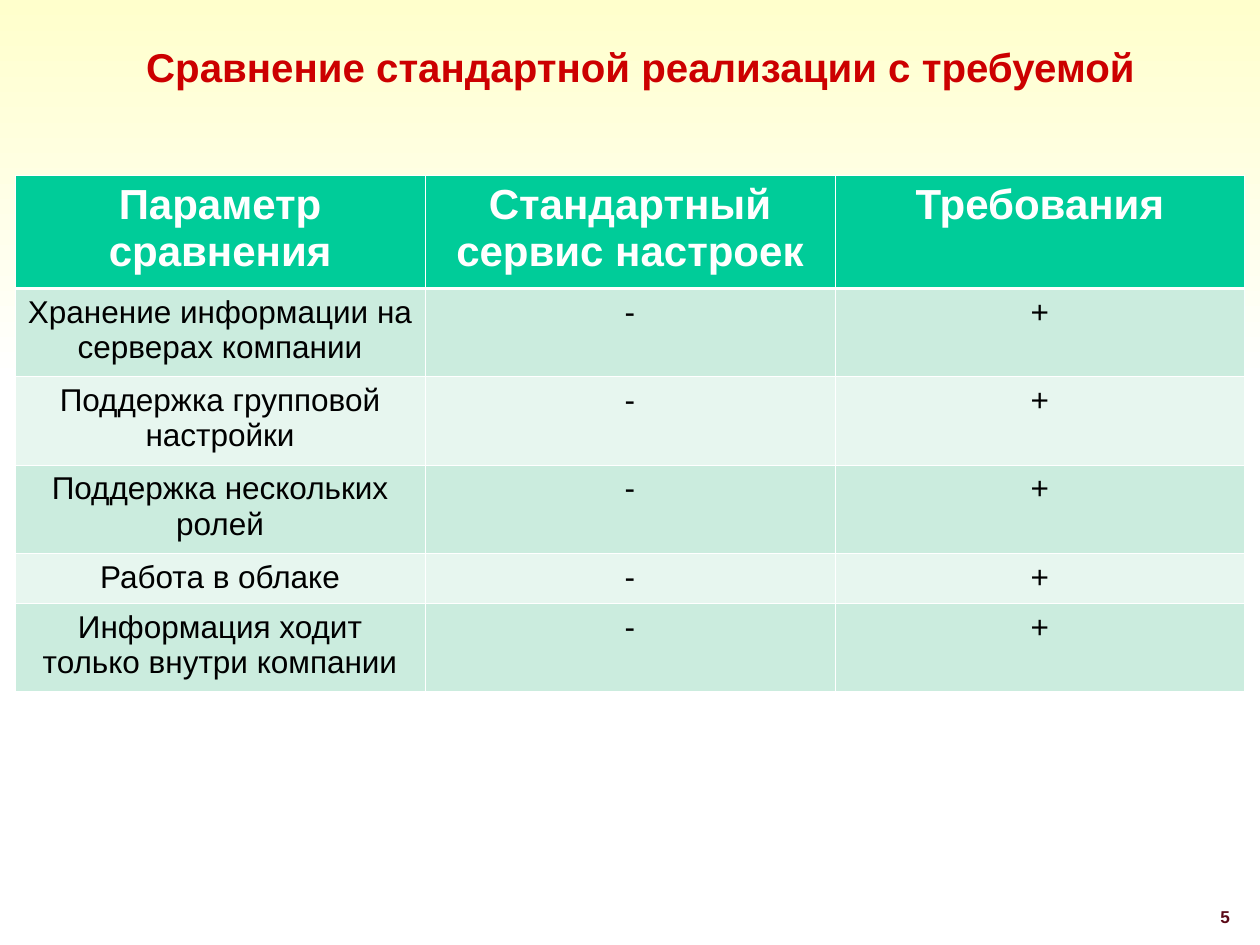
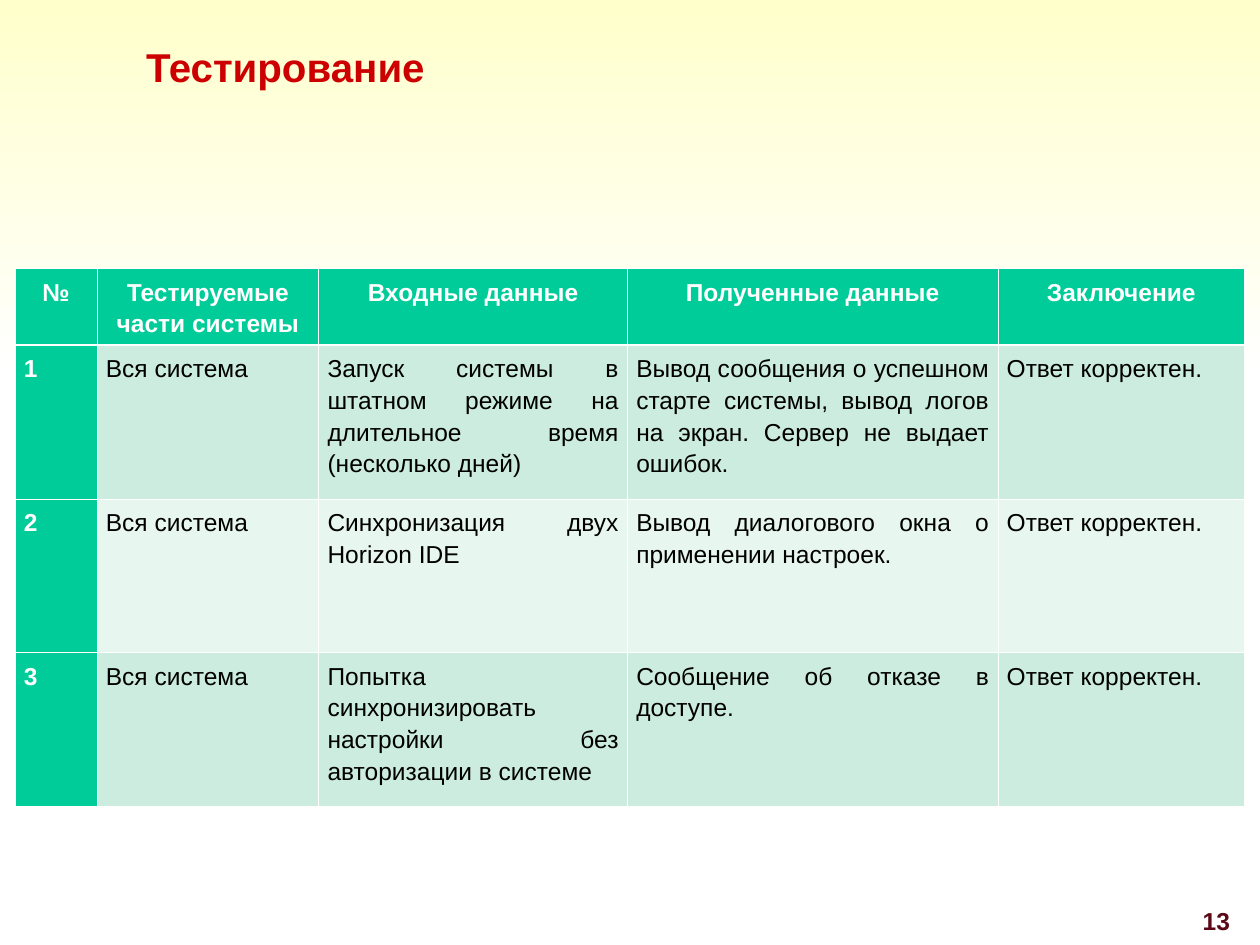
from dataclasses import dataclass

from lxml.etree import SubElement, Element
from pptx import Presentation
from pptx.dml.color import RGBColor
from pptx.enum.shapes import MSO_SHAPE
from pptx.enum.text import MSO_ANCHOR, MSO_AUTO_SIZE, PP_ALIGN as AL
from pptx.oxml.ns import qn
from pptx.util import Inches, Pt

FONT = "Arial"
CREAM, WHITE, BLACK = "FFFFCC", "FFFFFF", "000000"
RED, MAROON = "CC0000", "5B0917"
GREEN, MINT, PALE = "00CC99", "CBECDE", "E7F6EF"
THIN, THICK = 0.45, 1.47


@dataclass
class TableSpec:
    top: float
    cols: list[float]
    heights: list[float]
    rows: list[list[str]]
    aligns: list[AL]
    head_size: float
    body_size: float
    side_inset: float
    spacing: float = 1.0
    after: float = 0
    head_col: bool = False


@dataclass
class SlideSpec:
    title: str
    number: str
    number_size: float
    table: TableSpec


SLIDES = [
    SlideSpec(
        "Сравнение стандартной реализации с требуемой", "5", 9.8,
        TableSpec(
            top=1.39, cols=[9.76 / 3] * 3, heights=[0.9, 0.7, 0.7, 0.7, 0.4, 0.7],
            rows=[["Параметр сравнения", "Стандартный сервис настроек", "Требования"]]
            + [[name, "-", "+"] for name in (
                "Хранение информации на серверах компании",
                "Поддержка групповой настройки",
                "Поддержка нескольких ролей",
                "Работа в облаке",
                "Информация ходит только внутри компании",
            )],
            aligns=[AL.CENTER] * 3, head_size=24, body_size=18, side_inset=0.1,
        ),
    ),
    SlideSpec(
        "Тестирование", "13", 14,
        TableSpec(
            top=2.13, cols=[0.65, 1.76, 2.45, 2.94, 1.96], heights=[0.61] + [1.22] * 3,
            rows=[["№", "Тестируемые части системы", "Входные данные",
                   "Полученные данные", "Заключение"]]
            + [[str(i), "Вся система", given, result, "Ответ корректен."]
               for i, (given, result) in enumerate([
                   ("Запуск системы в штатном режиме на длительное время (несколько дней)",
                    "Вывод сообщения о успешном старте системы, вывод логов на экран. "
                    "Сервер не выдает ошибок."),
                   ("Синхронизация двух Horizon IDE",
                    "Вывод диалогового окна о применении настроек."),
                   ("Попытка синхронизировать настройки без авторизации в системе",
                    "Сообщение об отказе в доступе."),
               ], 1)],
            aligns=[AL.LEFT] * 2 + [AL.JUSTIFY] * 3, head_size=14, body_size=14,
            side_inset=0.07, spacing=1.15, after=10, head_col=True,
        ),
    ),
]


def rgb(value: str) -> RGBColor:
    return RGBColor.from_string(value)


def write(tf, text: str, size: float, color: str, bold: bool, align: AL,
          spacing: float = 1.0, after: float = 0) -> None:
    p = tf.paragraphs[0]
    p.alignment, p.line_spacing = align, spacing
    p.space_before, p.space_after = Pt(0), Pt(after)
    r = p.add_run()
    r.text = text
    r.font.name, r.font.size, r.font.bold = FONT, Pt(size), bold
    r.font.color.rgb = rgb(color)


def add_band(s) -> None:
    sp = s.shapes.add_shape(MSO_SHAPE.RECTANGLE, 0, 0, Inches(10), Inches(3.04))
    sp.shadow.inherit = False
    sp.line.fill.background()
    sp.fill.gradient()
    sp.fill.gradient_angle = 270
    for stop, color, pos in zip(sp.fill.gradient_stops, (CREAM, WHITE), (0, 1)):
        stop.color.rgb, stop.position = rgb(color), pos
    s.shapes._spTree.insert(2, sp._element)


def add_title(s, text: str) -> None:
    sp = s.shapes.title
    sp.left, sp.top = Inches(1.06), Inches(-0.03)
    sp.width, sp.height = Inches(8.94), Inches(1.18)
    tf = sp.text_frame
    tf.word_wrap, tf.auto_size = True, MSO_AUTO_SIZE.NONE
    tf.vertical_anchor = MSO_ANCHOR.MIDDLE
    write(tf, text, 23, RED, True, AL.LEFT, 0.8)


def add_number(s, text: str, size: float) -> None:
    sp = s.shapes.add_textbox(Inches(9.02), Inches(7.14), Inches(0.84), Inches(0.28))
    sp.text_frame.word_wrap = True
    write(sp.text_frame, text, size, MAROON, True, AL.RIGHT)


def set_borders(cell, top: float, bottom: float) -> None:
    tc_pr = cell._tc.get_or_add_tcPr()
    sides = (("lnL", THIN), ("lnR", THIN), ("lnT", top), ("lnB", bottom))
    for i, (tag, width) in enumerate(sides):
        ln = Element(qn(f"a:{tag}"), w=str(Pt(width)))
        fill = SubElement(ln, qn("a:solidFill"))
        SubElement(fill, qn("a:srgbClr"), val=WHITE)
        tc_pr.insert(i, ln)


def add_table(s, spec: TableSpec) -> None:
    frame = s.shapes.add_table(len(spec.rows), len(spec.cols), Inches(0.12), Inches(spec.top),
                               Inches(sum(spec.cols)), Inches(sum(spec.heights)))
    table = frame.table
    for col, width in zip(table.columns, spec.cols):
        col.width = Inches(width)
    for i, (row, height) in enumerate(zip(table.rows, spec.heights)):
        row.height = Inches(height)
        for j, cell in enumerate(row.cells):
            head = i == 0 or (spec.head_col and j == 0)
            cell.fill.solid()
            cell.fill.fore_color.rgb = rgb(GREEN if head else MINT if i % 2 else PALE)
            cell.margin_left = cell.margin_right = Inches(spec.side_inset)
            cell.margin_top = cell.margin_bottom = Inches(0.05)
            set_borders(cell, THICK if i == 1 else THIN, THICK if i == 0 else THIN)
            write(cell.text_frame, spec.rows[i][j],
                  spec.body_size if i else spec.head_size,
                  WHITE if head else BLACK, head,
                  spec.aligns[j] if i else AL.CENTER, spec.spacing, spec.after)


def main() -> None:
    prs = Presentation()
    prs.slide_width, prs.slide_height = Inches(10), Inches(7.5)
    for spec in SLIDES:
        s = prs.slides.add_slide(prs.slide_layouts[5])
        add_band(s)
        add_title(s, spec.title)
        add_table(s, spec.table)
        add_number(s, spec.number, spec.number_size)
    prs.save("out.pptx")


if __name__ == "__main__":
    main()
